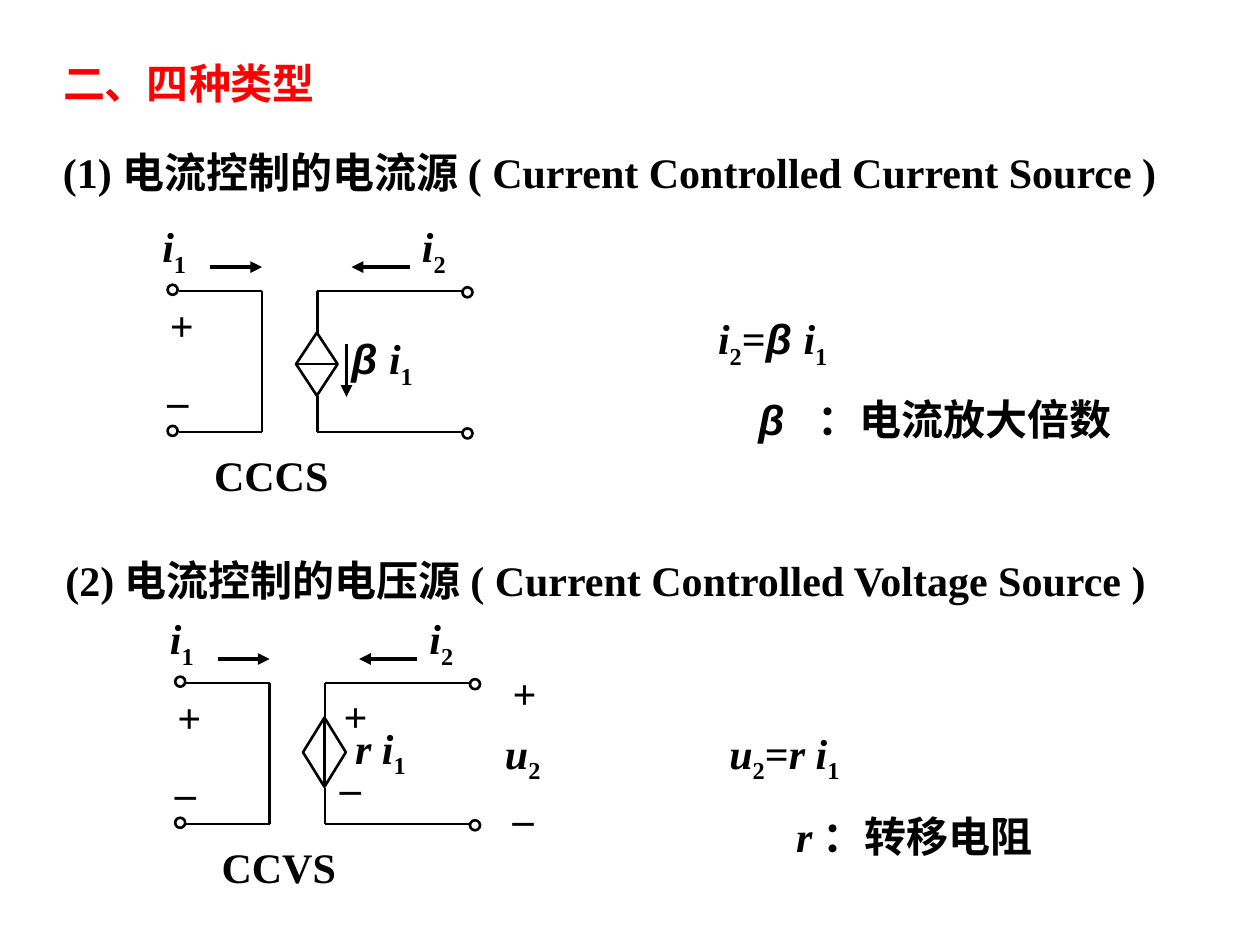
"""Build the slide on two current-controlled sources, CCCS and CCVS."""
import pptx
import pptx.dml.color
import pptx.enum.shapes
import pptx.enum.text
import pptx.oxml
import pptx.util
from pptx.util import Inches

COLORS = {"title": "FF0000", "ink": "000000", "paper": "FFFFFF"}
SERIF, SANS = "Times New Roman", "Arial"
ROMAN, ITALIC, SUB = {}, {"italic": True}, {"sub": True}
GREEK = {"italic": True, "font": SANS}
I1 = [("i", ITALIC), ("1", SUB)]
I2 = [("i", ITALIC), ("2", SUB)]
U2 = [("u", ITALIC), ("2", SUB)]
BETA_I1 = [("β ", GREEK)] + I1
R_I1 = [("r i", ITALIC), ("1", SUB)]
PLUS, MINUS = [("+", ROMAN)], [("_", ROMAN)]

TITLE = [("二、四种类型", ROMAN)]
STATEMENTS = [
    ([("(1) 电流控制的电流源 ( Current Controlled Current Source )", ROMAN)],
     (0.4, 1.11, 9.28, 0.5), None),
    (I2 + [("=", ROMAN)] + BETA_I1, (5.6, 2.43, 1.52, 0.56), None),
    ([("β\t", GREEK), ("：", {"font": SANS}), ("电流放大倍数", ROMAN)],
     (5.92, 3.07, 3.14, 0.5), 0.47),
    ([("(2) 电流控制的电压源 ( Current Controlled Voltage Source )", ROMAN)],
     (0.42, 4.35, 9.28, 0.5), None),
    (U2 + [("=", ROMAN)] + R_I1, (5.69, 5.72, 1.25, 0.56), None),
    ([("r ", ITALIC), ("：转移电阻", ROMAN)], (6.22, 6.38, 2.17, 0.5), None),
]

TOP, BOTTOM = 2.31, 3.43
WIRES = [
    [(1.42, TOP), (2.08, TOP), (2.08, BOTTOM), (1.42, BOTTOM)],
    [(2.52, 2.64), (2.52, TOP), (3.69, TOP)],
    [(2.52, 3.14), (2.52, BOTTOM), (3.69, BOTTOM)],
]
CURRENT_ARROWS = [[(1.67, 2.12), (2.08, 2.12)], [(3.25, 2.12), (2.79, 2.12)]]
TERMINALS = [(1.33, 2.26), (1.33, 3.38), (3.67, 2.28), (3.67, 3.4)]
TERMINAL_SIZE = 0.08
PORT_LABELS = [
    (I1, (1.19, 1.7, 0.6, 0.56)),
    (I2, (3.25, 1.7, 0.5, 0.56)),
    (PLUS, (1.25, 2.33, 0.4, 0.5)),
    (MINUS, (1.23, 2.81, 0.4, 0.5)),
]
CIRCUITS = [
    {"name": "CCCS", "offset": (0, 0), "diamond": (2.35, 2.64, 0.33, 0.5), "turn": 0,
     "arrows": [[(2.75, 2.73), (2.75, 3.15)]],
     "labels": [(BETA_I1, (2.69, 2.59, 0.86, 0.56))]},
    {"name": "CCVS", "offset": (0.06, 3.11), "diamond": (2.24, 2.69, 0.55, 0.34), "turn": 270,
     "arrows": [],
     "labels": [(R_I1, (2.66, 2.57, 0.86, 0.56)),
                (PLUS, (2.57, 2.32, 0.33, 0.5)), (MINUS, (2.54, 2.77, 0.4, 0.5)),
                (PLUS, (3.91, 2.14, 0.44, 0.5)), (U2, (3.85, 2.61, 0.56, 0.56)),
                (MINUS, (3.91, 3.02, 0.4, 0.5))]},
]


def rgb(name):
    return pptx.dml.color.RGBColor.from_string(COLORS[name])


def shifted(values, offset):
    return tuple(v + d for v, d in zip(values, tuple(offset) + (0, 0)))


def write_text(frame, runs, color="ink", size=24, line_spacing=None, tab=None):
    frame.word_wrap = True
    frame.auto_size = pptx.enum.text.MSO_AUTO_SIZE.NONE
    frame.vertical_anchor = pptx.enum.text.MSO_ANCHOR.MIDDLE
    paragraph = frame.paragraphs[0]
    paragraph.alignment = pptx.enum.text.PP_ALIGN.LEFT
    if line_spacing:
        paragraph.line_spacing = line_spacing
    if tab:
        stops = pptx.oxml.parse_xml(
            '<a:tabLst xmlns:a="http://schemas.openxmlformats.org/drawingml/2006/main">'
            f'<a:tab pos="{Inches(tab)}" algn="l"/></a:tabLst>')
        paragraph._p.get_or_add_pPr().append(stops)
    for text, style in runs:
        run = paragraph.add_run()
        run.text = text
        run.font.name = style.get("font", SERIF)
        run.font.size = pptx.util.Pt(size)
        run.font.bold = True
        run.font.italic = style.get("italic", False)
        run.font.color.rgb = rgb(color)
        if style.get("sub"):
            run._r.get_or_add_rPr().set("baseline", "-25000")


def add_label(shapes, runs, box, **text_format):
    label = shapes.add_textbox(*map(Inches, box))
    write_text(label.text_frame, runs, **text_format)


def add_line(shapes, start, end, width=1.5, arrow=False):
    line = shapes.add_connector(
        pptx.enum.shapes.MSO_CONNECTOR.STRAIGHT, *map(Inches, start + end))
    line.line.color.rgb = rgb("ink")
    line.line.width = pptx.util.Pt(width)
    properties = line._element.spPr
    if arrow:
        tail = pptx.oxml.parse_xml(
            '<a:tailEnd xmlns:a="http://schemas.openxmlformats.org/drawingml/2006/main"'
            ' type="triangle"/>')
        line.line._get_or_add_ln().append(tail)
    properties.append(pptx.oxml.parse_xml(
        '<a:effectLst xmlns:a="http://schemas.openxmlformats.org/drawingml/2006/main"/>'))


def add_outline(shapes, kind, box, fill=None, turn=0):
    outline = shapes.add_shape(kind, *map(Inches, box))
    outline.shadow.inherit = False
    outline.rotation = turn
    outline.line.color.rgb = rgb("ink")
    outline.line.width = pptx.util.Pt(1.5)
    if fill:
        outline.fill.solid()
        outline.fill.fore_color.rgb = rgb(fill)
    else:
        outline.fill.background()


def add_circuit(slide, circuit):
    shapes = slide.shapes.add_group_shape().shapes
    offset = circuit["offset"]
    preset = pptx.enum.shapes.MSO_SHAPE
    for wire in WIRES:
        points = [shifted(point, offset) for point in wire]
        for start, end in zip(points, points[1:]):
            add_line(shapes, start, end)
    for start, end in CURRENT_ARROWS + circuit["arrows"]:
        add_line(shapes, shifted(start, offset), shifted(end, offset), width=2.25, arrow=True)
    add_outline(shapes, preset.FLOWCHART_SORT, shifted(circuit["diamond"], offset),
                turn=circuit["turn"])
    for corner in TERMINALS:
        add_outline(shapes, preset.OVAL,
                    shifted(corner, offset) + (TERMINAL_SIZE, TERMINAL_SIZE), fill="paper")
    caption = ([(circuit["name"], ROMAN)], (1.6, 3.52, 1.42, 0.5))
    for runs, box in PORT_LABELS + circuit["labels"] + [caption]:
        add_label(shapes, runs, shifted(box, offset))


def main():
    deck = pptx.Presentation()
    deck.slide_width, deck.slide_height = Inches(10), Inches(7.5)
    slide = deck.slides.add_slide(deck.slide_layouts[5])
    title = slide.shapes.title
    title.left, title.top, title.width, title.height = map(Inches, (0.4, 0.33, 2.59, 0.58))
    write_text(title.text_frame, TITLE, color="title", line_spacing=1.2)
    for runs, box, tab in STATEMENTS:
        add_label(slide.shapes, runs, box, tab=tab)
    for circuit in CIRCUITS:
        add_circuit(slide, circuit)
    deck.save("out.pptx")


if __name__ == "__main__":
    main()
